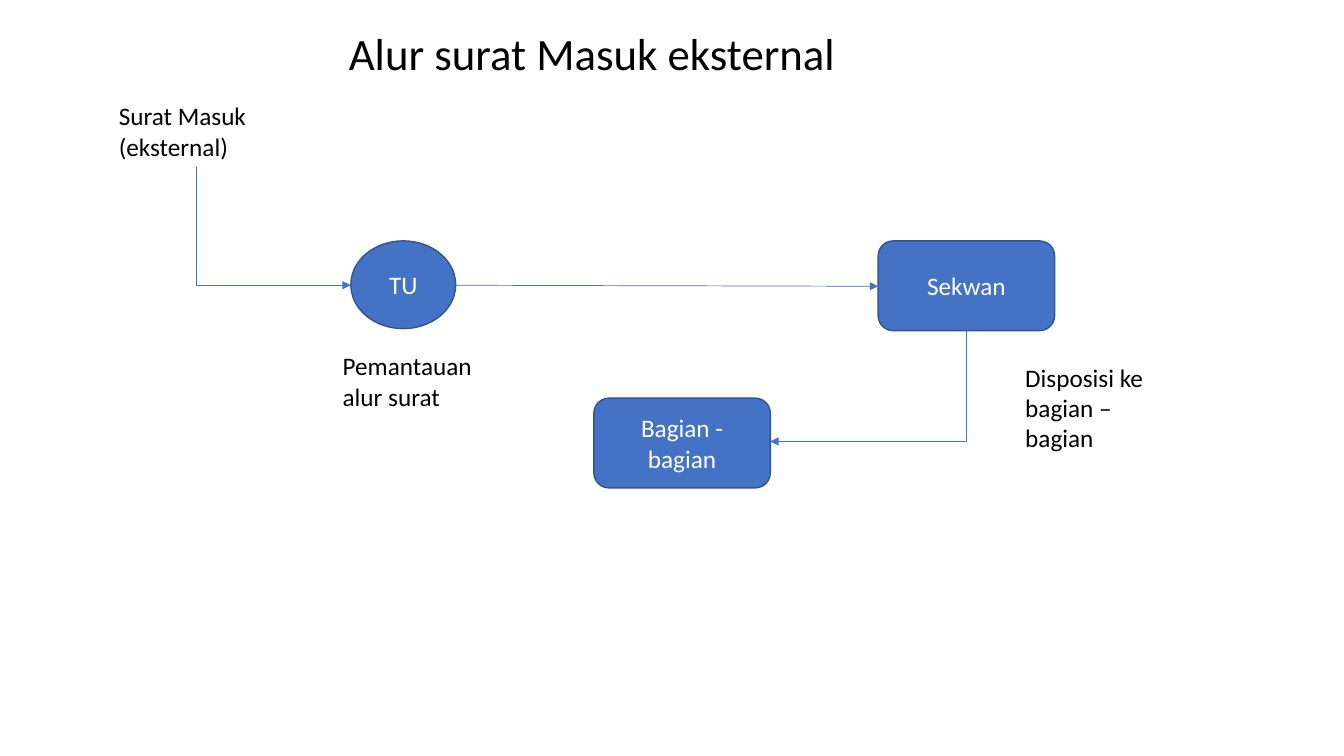
from lxml import etree
from pptx import Presentation
from pptx import util as u
from pptx.dml import color as col
from pptx.enum import shapes, text
from pptx.oxml import ns

HUES = {"fill": "4472C4", "edge": "325491", "ink": "000000", "pale": "FFFFFF"}
LEFT = {"align": text.PP_ALIGN.LEFT, "anchor": text.MSO_ANCHOR.TOP, "hue": "ink"}
MID = {"align": text.PP_ALIGN.CENTER, "anchor": text.MSO_ANCHOR.MIDDLE, "hue": "pale"}


def rgb(name):
    """Return the named colour."""
    return col.RGBColor.from_string(HUES[name])


def inch(*vals):
    """Turn numbers into lengths."""
    return [u.Inches(v) for v in vals]


def write(shape, words, look, size=18):
    """Put formatted words in a shape."""
    frame = shape.text_frame
    frame.text = words
    for key, val in {"word_wrap": True, "auto_size": text.MSO_AUTO_SIZE.NONE,
                     "vertical_anchor": look["anchor"]}.items():
        setattr(frame, key, val)
    par = frame.paragraphs[0]
    par.alignment = look["align"]
    font = par.runs[0].font
    for key, val in {"name": "Calibri", "size": u.Pt(size)}.items():
        setattr(font, key, val)
    font.color.rgb = rgb(look["hue"])


def head(slide, box, words):
    """Place the title in its box."""
    title = slide.shapes.title
    for key, val in zip(("left", "top", "width", "height"), inch(*box)):
        setattr(title, key, val)
    write(title, words, LEFT, 32)


def note(slide, box, words):
    """Place a plain label in its box."""
    write(slide.shapes.add_textbox(*inch(*box)), words, LEFT)


def node(slide, kind, box, words):
    """Place a filled step of the flow in its box."""
    shape = slide.shapes.add_shape(kind, *inch(*box))
    shape.shadow.inherit = False
    shape.fill.solid()
    shape.fill.fore_color.rgb = rgb("fill")
    shape.line.color.rgb = rgb("edge")
    shape.line.width = u.Pt(1)
    write(shape, words, MID)


def style(link):
    """Give a connector its thin line and arrowhead."""
    link.line.color.rgb = rgb("fill")
    link.line.width = u.Pt(0.5)
    tip = etree.SubElement(link.line._get_or_add_ln(), ns.qn("a:tailEnd"))
    tip.set("type", "triangle")
    etree.SubElement(link._element.spPr, ns.qn("a:effectLst"))


def straight(slide, start, end):
    """Draw a straight arrow."""
    style(slide.shapes.add_connector(shapes.MSO_CONNECTOR.STRAIGHT,
                                     *inch(*start, *end)))


def bent(slide, start, end):
    """Draw an arrow that goes down, then sideways."""
    (x1, y1), (x2, y2) = start, end
    wide, high = y2 - y1, abs(x2 - x1)
    left, top = (x1 + x2 - wide) / 2, (y1 + y2 - high) / 2
    ends = [left, left + wide]
    right = x2 > x1
    if right:
        ends.reverse()
    link = slide.shapes.add_connector(shapes.MSO_CONNECTOR.ELBOW,
                                      *inch(ends[0], top, ends[1], top + high))
    form = link._element.spPr
    form.find(ns.qn("a:prstGeom")).set("prst", "bentConnector2")
    form.find(ns.qn("a:xfrm")).set("rot", str((270 if right else 90) * 60000))
    style(link)


def flow(slide):
    """Build the letter flow from its steps, labels and arrows."""
    oval, card = shapes.MSO_SHAPE.OVAL, shapes.MSO_SHAPE.ROUNDED_RECTANGLE
    wide, high = 1.75, 0.89
    node(slide, oval, (3.48, 2.39, 1.04, 0.87), "TU")
    node(slide, card, (8.71, 2.39, wide, high), "Sekwan")
    node(slide, card, (5.89, 3.95, wide, high), "Bagian - bagian")
    note(slide, (1.08, 0.95, 1.74, 0.71), "Surat Masuk (eksternal)")
    note(slide, (3.3, 3.43, 1.52, 0.71), "Pemantauan alur surat")
    note(slide, (10.07, 3.54, 1.39, 1.01), "Disposisi ke bagian – bagian")
    bent(slide, (1.95, 1.66), (3.48, 2.83))
    straight(slide, (4.52, 2.83), (8.71, 2.84))
    bent(slide, (8.71 + wide / 2, 2.39 + high), (5.89 + wide, 4.38))


def main():
    """Build and save the slide."""
    deck = Presentation()
    deck.slide_width, deck.slide_height = inch(13.33, 7.5)
    slide = deck.slides.add_slide(deck.slide_layouts[5])
    head(slide, (3.36, 0.2, 5.63, 0.64), "Alur surat Masuk eksternal")
    flow(slide)
    deck.save("out.pptx")


if __name__ == "__main__":
    main()
